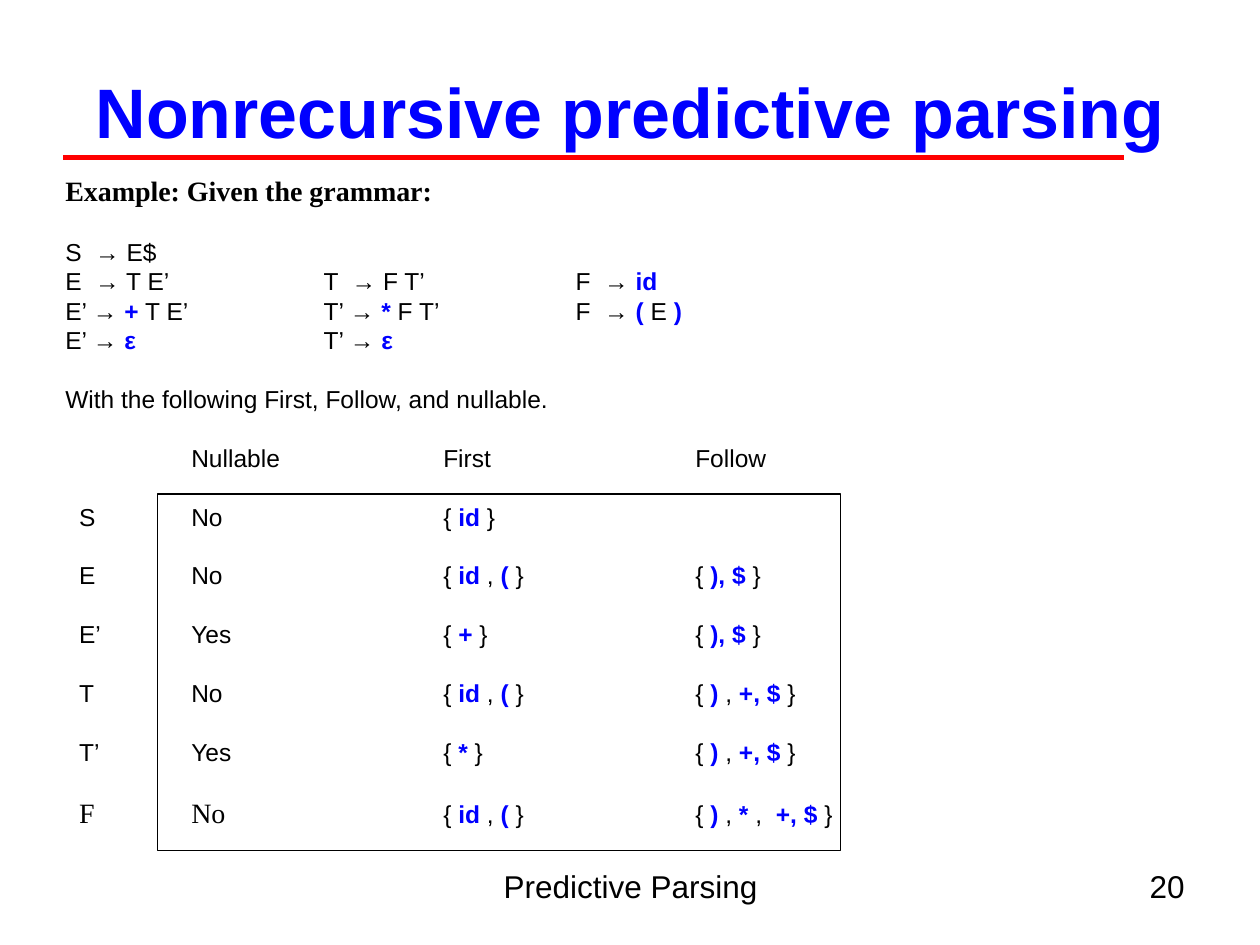
from dataclasses import dataclass

from lxml import etree
from pptx import Presentation
from pptx.dml.color import RGBColor
from pptx.enum.shapes import MSO_CONNECTOR, MSO_SHAPE
from pptx.enum.text import MSO_ANCHOR, MSO_AUTO_SIZE, PP_ALIGN
from pptx.oxml.ns import qn
from pptx.util import Inches, Pt

STRAIGHT = MSO_CONNECTOR.STRAIGHT
RECTANGLE = MSO_SHAPE.RECTANGLE
MIDDLE = MSO_ANCHOR.MIDDLE
FIXED = MSO_AUTO_SIZE.NONE
LEFT, CENTER, RIGHT = PP_ALIGN.LEFT, PP_ALIGN.CENTER, PP_ALIGN.RIGHT

BLACK, BLUE, RED = "000000", "0000FF", "FF0000"
SANS, SERIF = "Arial", "Times New Roman"
BODY_SIZE, SERIF_SIZE = 14, 16
LINE_FACTOR = 1.2
TERMINAL_MARK = "`"
GRAMMAR_STOPS = (2.05, 4.05)
SET_STOPS = (0.11, 1, 3, 5)


@dataclass
class Line:
    markup: str = ""
    serif_lead: str = ""
    lead_bold: bool = False
    gap: bool = False
    stops: tuple[float, ...] = ()


@dataclass
class Footer:
    text: str
    left: float
    width: float
    align: PP_ALIGN


HEADING = [Line(serif_lead="Example: Given the grammar:", lead_bold=True)]
GRAMMAR = [
    Line("S  → E$", gap=True),
    Line("E  → T E’\tT  → F T’\tF  → `id`", stops=GRAMMAR_STOPS),
    Line("E’ → `+` T E’\tT’ → `*` F T’\tF  → `( `E `)`", stops=GRAMMAR_STOPS),
    Line("E’ → `ε`\tT’ → `ε`", stops=GRAMMAR_STOPS),
]
INTRO = [Line("With the following First, Follow, and nullable.", gap=True)]
SETS = [
    Line(markup, lead, gap=True, stops=SET_STOPS)
    for markup, lead in (
        ("\t\tNullable\tFirst\tFollow", ""),
        ("\tS\tNo\t{ `id` }", ""),
        ("\tE\tNo\t{ `id` , `(` }\t{ `), $` }", ""),
        ("\tE’\tYes\t{ `+` }\t{ `), $` }", ""),
        ("\tT\tNo\t{ `id` , `( `}\t{ `)` , `+, $` }", ""),
        ("\tT’\tYes\t{ `*` }\t{ `)` , `+, $` }", ""),
        ("{ `id` , `(` }\t{ `)` , `*` ,  `+, $` }", "\tF\tNo\t"),
    )
]
FOOTERS = [
    Footer("Predictive Parsing", 3.42, 3.17, CENTER),
    Footer("20", 7.17, 2.33, RIGHT),
]


def rgb(value: str) -> RGBColor:
    return RGBColor.from_string(value)


def add_run(paragraph, text: str, size: float, color: str = BLACK,
            bold: bool = False, face: str = SANS) -> None:
    run = paragraph.add_run()
    run.text = text
    run.font.size = Pt(size)
    run.font.name = face
    run.font.bold = bold
    run.font.color.rgb = rgb(color)


def add_text_frame(slide, left: float, top: float, width: float, height: float):
    frame = slide.shapes.add_textbox(
        Inches(left), Inches(top), Inches(width), Inches(height)).text_frame
    frame.word_wrap = True
    frame.auto_size = FIXED
    return frame


def set_tab_stops(paragraph, stops: tuple[float, ...]) -> None:
    tab_list = etree.SubElement(paragraph._p.get_or_add_pPr(), qn("a:tabLst"))
    for stop in stops:
        etree.SubElement(tab_list, qn("a:tab"), pos=str(int(Inches(stop))), algn="l")


def write_line(paragraph, line: Line) -> None:
    size = SERIF_SIZE if line.serif_lead else BODY_SIZE
    paragraph.alignment = LEFT
    paragraph.line_spacing = Pt(size * LINE_FACTOR)
    paragraph.space_before = Pt(BODY_SIZE * LINE_FACTOR if line.gap else 0)
    if line.stops:
        set_tab_stops(paragraph, line.stops)
    if line.serif_lead:
        add_run(paragraph, line.serif_lead, SERIF_SIZE, bold=line.lead_bold, face=SERIF)
    for index, text in enumerate(line.markup.split(TERMINAL_MARK)):
        terminal = index % 2 == 1
        if text:
            add_run(paragraph, text, BODY_SIZE, BLUE if terminal else BLACK, terminal)


def add_title(slide, text: str) -> None:
    title = slide.shapes.title
    title.left, title.top = Inches(0.5), Inches(0.25)
    title.width, title.height = Inches(9), Inches(1.25)
    frame = title.text_frame
    frame.vertical_anchor = MIDDLE
    frame.auto_size = FIXED
    paragraph = frame.paragraphs[0]
    paragraph.alignment = CENTER
    add_run(paragraph, text, 40, BLUE, True)


def add_title_rule(slide) -> None:
    rule = slide.shapes.add_connector(
        STRAIGHT, Inches(0.5), Inches(1.25), Inches(8.92), Inches(1.25))
    rule.line.color.rgb = rgb(RED)
    rule.line.width = Pt(3)
    etree.SubElement(rule._element.spPr, qn("a:effectLst"))


def add_body(slide, lines: list[Line]) -> None:
    frame = add_text_frame(slide, 0.42, 1.33, 8.17, 5.89)
    for index, line in enumerate(lines):
        write_line(frame.add_paragraph() if index else frame.paragraphs[0], line)


def add_sets_border(slide) -> None:
    border = slide.shapes.add_shape(
        RECTANGLE, Inches(1.25), Inches(3.92), Inches(5.42), Inches(2.83))
    border.shadow.inherit = False
    border.fill.background()
    border.line.color.rgb = rgb(BLACK)
    border.line.width = Pt(0.75)


def add_footer(slide, footer: Footer) -> None:
    frame = add_text_frame(slide, footer.left, 6.83, footer.width, 0.52)
    paragraph = frame.paragraphs[0]
    paragraph.alignment = footer.align
    add_run(paragraph, footer.text, 18)


presentation = Presentation()
presentation.slide_width, presentation.slide_height = Inches(10), Inches(7.5)
slide = presentation.slides.add_slide(presentation.slide_layouts[5])
for footer in FOOTERS:
    add_footer(slide, footer)
add_title(slide, "Nonrecursive predictive parsing")
add_title_rule(slide)
add_body(slide, HEADING + GRAMMAR + INTRO + SETS)
add_sets_border(slide)
presentation.save("out.pptx")
